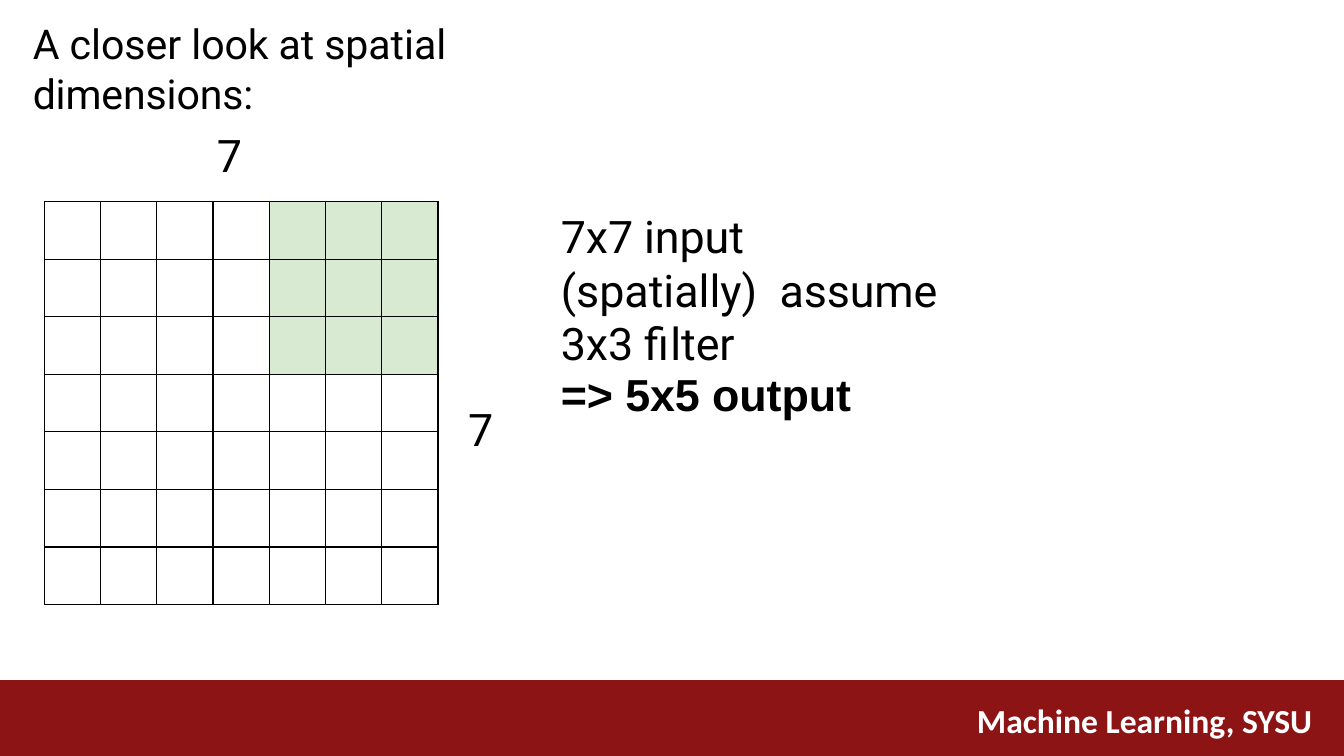
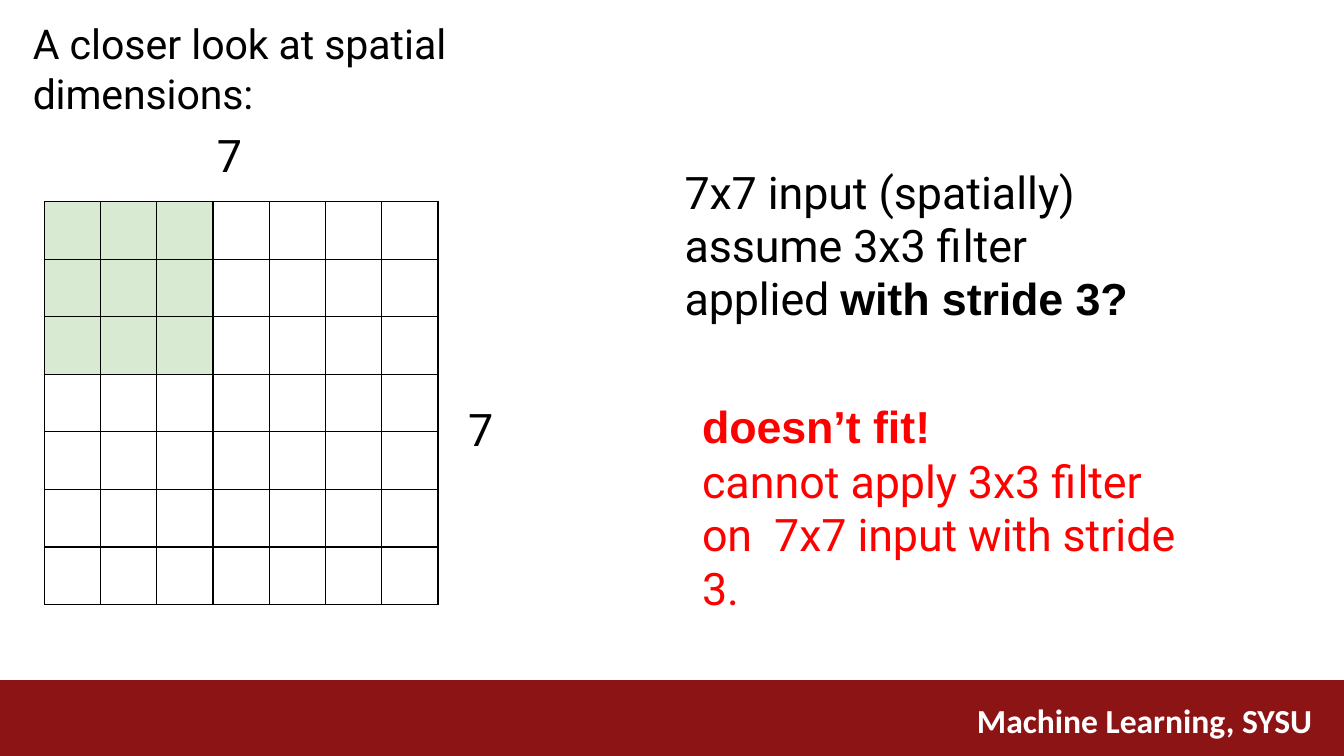
from dataclasses import dataclass
from typing import NamedTuple

from lxml.etree import SubElement
from pptx import Presentation
from pptx.dml.color import RGBColor as RGB
from pptx.enum.shapes import MSO_SHAPE as Shape
from pptx.enum.text import MSO_ANCHOR as Anchor, MSO_AUTO_SIZE as AutoSize, PP_ALIGN as Align
from pptx.oxml.ns import qn
from pptx.util import Inches, Pt


@dataclass(frozen=True)
class Theme:
    ink: RGB = RGB(0x00, 0x00, 0x00)
    paper: RGB = RGB(0xFF, 0xFF, 0xFF)
    band: RGB = RGB(0x8C, 0x14, 0x14)
    filter: RGB = RGB(0xD9, 0xEA, 0xD3)
    warning: RGB = RGB(0xFF, 0x00, 0x00)
    text_font: str = "Roboto"
    strong_font: str = "Arial"
    footer_font: str = "Calibri"
    title_size: int = 22
    body_size: int = 24
    footer_size: int = 18
    grid_line: float = 0.75


class Box(NamedTuple):
    left: float
    top: float
    width: float
    height: float

    def inset(self, left, top, width, height):
        return Box(self.left + left, self.top + top, width, height)

    def emu(self):
        return tuple(Inches(length) for length in self)


class Words(NamedTuple):
    text: str
    tight: bool = False
    bold: bool = False


class Line(NamedTuple):
    words: list
    before: float = 1
    spacing: float | None = None


THEME = Theme()
PAGE = Box(0, 0, 10, 10 * 9 / 16)
FOOTER = Box(0, 5.06, PAGE.width, PAGE.height - 5.06)
TITLE = Box(0.23, 0.13, 4.75, 0.39)
INPUT = Box(0.33, 1.5, 2.93, 3)
INPUT_SIZE = 7
FILTER_SIZE = 3
TITLE_LINE = Line([Words("A closer "), Words("look at ", True),
                   Words("spatial "), Words("dimensions:", True)])
INPUT_WORDS = [Words("7x7 input ", True), Words("(spatially)  ")]


def add_words(paragraph, text, font, size, color, bold=False, tight=False):
    run = paragraph.add_run()
    run.text = text
    run.font.name = font
    run.font.size = Pt(size)
    run.font.bold = bold
    run.font.color.rgb = color
    if tight:
        run.font._element.set("spc", "-5")


def write_lines(frame, lines, size, color, inset_top=0.01):
    frame.word_wrap = True
    frame.auto_size = AutoSize.SHAPE_TO_FIT_TEXT
    frame.vertical_anchor = Anchor.TOP
    frame.margin_left = frame.margin_right = frame.margin_bottom = 0
    frame.margin_top = Inches(inset_top)
    for number, line in enumerate(lines):
        paragraph = frame.add_paragraph() if number else frame.paragraphs[0]
        paragraph.alignment = Align.LEFT
        paragraph.space_before = Pt(line.before)
        if line.spacing:
            paragraph.line_spacing = Pt(line.spacing)
        indent = paragraph._p.get_or_add_pPr()
        indent.set("marL", str(Pt(1)))
        indent.set("indent", "0")
        for words in line.words:
            font = THEME.strong_font if words.bold else THEME.text_font
            add_words(paragraph, words.text, font, size, color, words.bold, words.tight)


def add_note(slide, box, lines, color=THEME.ink, inset_top=0.01):
    note = slide.shapes.add_textbox(*box.emu())
    write_lines(note.text_frame, lines, THEME.body_size, color, inset_top)


def add_title(slide, box):
    title = slide.shapes.title
    title.left, title.top, title.width, title.height = box.emu()
    write_lines(title.text_frame, [TITLE_LINE], THEME.title_size, THEME.ink)


def add_layout_footer(slide, box):
    band = slide.shapes.add_shape(Shape.RECTANGLE, *box.emu())
    band.shadow.inherit = False
    band.fill.solid()
    band.fill.fore_color.rgb = THEME.band
    band.line.fill.background()
    course = slide.shapes.add_textbox(*box.inset(7.17, 0.1, 2.75, 0.4).emu())
    frame = course.text_frame
    frame.word_wrap = True
    frame.auto_size = AutoSize.SHAPE_TO_FIT_TEXT
    add_words(frame.paragraphs[0], "Machine Learning, SYSU", THEME.footer_font,
              THEME.footer_size, THEME.paper, bold=True)
    for part in (band, course):
        slide.slide_layout.shapes._spTree.append(part._element)


def outline_cell(cell):
    properties = cell._tc.get_or_add_tcPr()
    for side in ("a:lnL", "a:lnR", "a:lnT", "a:lnB"):
        edge = SubElement(properties, qn(side), w=str(Pt(THEME.grid_line)))
        ink = SubElement(edge, qn("a:solidFill"))
        SubElement(ink, qn("a:srgbClr"), val=str(THEME.ink))


def add_input_grid(slide, box, filter_column):
    grid = slide.shapes.add_table(INPUT_SIZE, INPUT_SIZE, *box.emu()).table
    grid.first_row = grid.horz_banding = False
    for column in grid.columns:
        column.width = Inches(box.width / INPUT_SIZE)
    for row in grid.rows:
        row.height = Inches(box.height / INPUT_SIZE)
    for position, cell in enumerate(grid.iter_cells()):
        row, column = divmod(position, INPUT_SIZE)
        outline_cell(cell)
        if row < FILTER_SIZE and 0 <= column - filter_column < FILTER_SIZE:
            cell.fill.solid()
            cell.fill.fore_color.rgb = THEME.filter
        else:
            cell.fill.background()


def add_size_labels(slide, box):
    size_label = [Line([Words(str(INPUT_SIZE))])]
    add_note(slide, box.inset(1.27, -0.56, 0.21, 0.43), size_label)
    add_note(slide, box.inset(3.14, 1.48, 0.21, 0.43), size_label)


def add_setting(slide, box, words):
    add_note(slide, box, [Line(INPUT_WORDS + words, 2.2, 28.5)], inset_top=0.03)


def add_dimension_slide(deck, filter_column):
    slide = deck.slides.add_slide(deck.slide_layouts[5])
    add_title(slide, TITLE)
    add_size_labels(slide, INPUT)
    add_input_grid(slide, INPUT, filter_column)
    return slide


def add_output_slide(deck, page):
    slide = add_dimension_slide(deck, INPUT_SIZE - FILTER_SIZE)
    add_setting(slide, page.inset(4.16, 1.53, 2.9, 0.82),
                [Words("assume 3x3 filter", True)])
    add_note(slide, page.inset(4.16, 2.72, 2.19, 0.43),
             [Line([Words("=> 5x5 output", True, True)])])
    return slide


def add_stride_slide(deck, page):
    slide = add_dimension_slide(deck, 0)
    add_setting(slide, page.inset(5.08, 1.2, 3.34, 1.22),
                [Words("assume 3x3 filter  applied ", True),
                 Words("with stride 3?", True, True)])
    verdict = Line([Words("doesn’t ", True, True), Words("fit!", bold=True)], 1, 28.6)
    reason = Line([Words("cannot "), Words("apply 3x3 filter on  7x7 input with ", True),
                   Words("stride "), Words("3.", True)], 1.1, 28.5)
    add_note(slide, page.inset(5.21, 2.96, 3.65, 1.22), [verdict, reason], THEME.warning)


def main():
    deck = Presentation()
    deck.slide_width, deck.slide_height = Inches(PAGE.width), Inches(PAGE.height)
    output_slide = add_output_slide(deck, PAGE)
    add_layout_footer(output_slide, FOOTER)
    add_stride_slide(deck, PAGE)
    deck.save("out.pptx")


if __name__ == "__main__":
    main()
